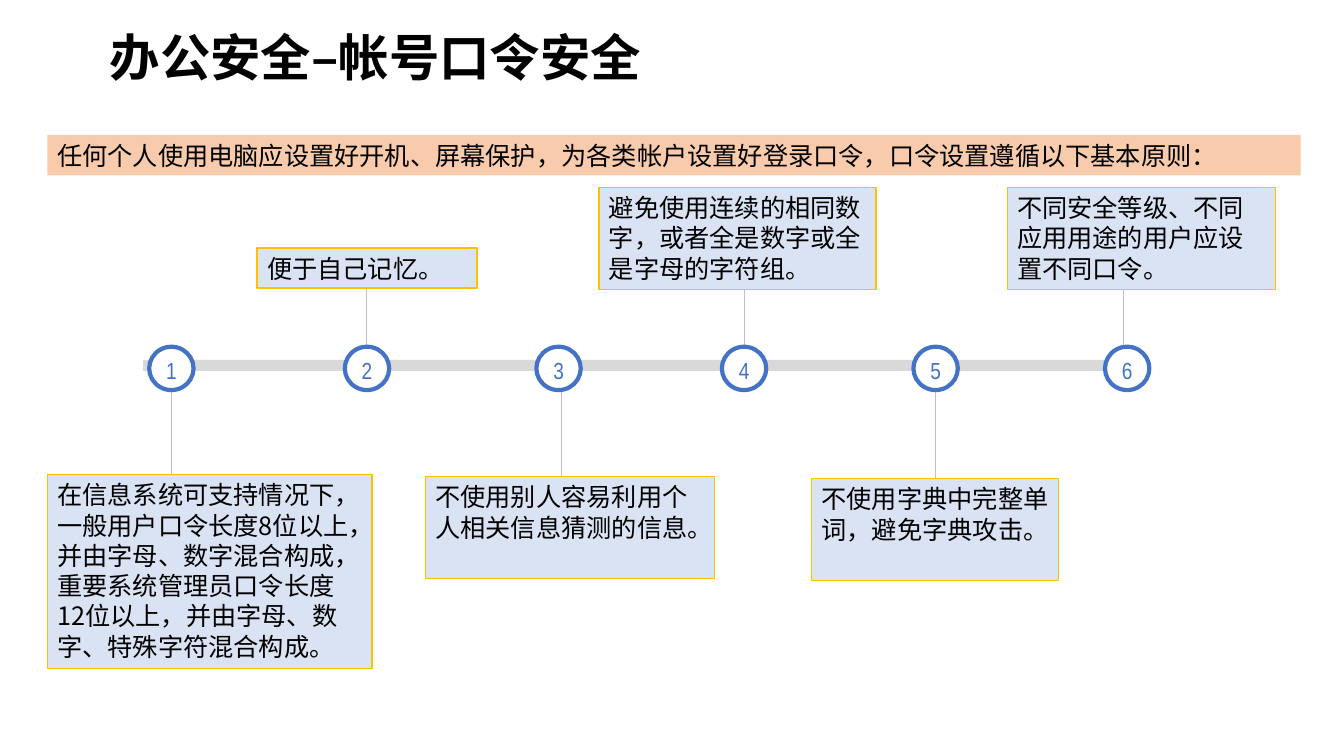
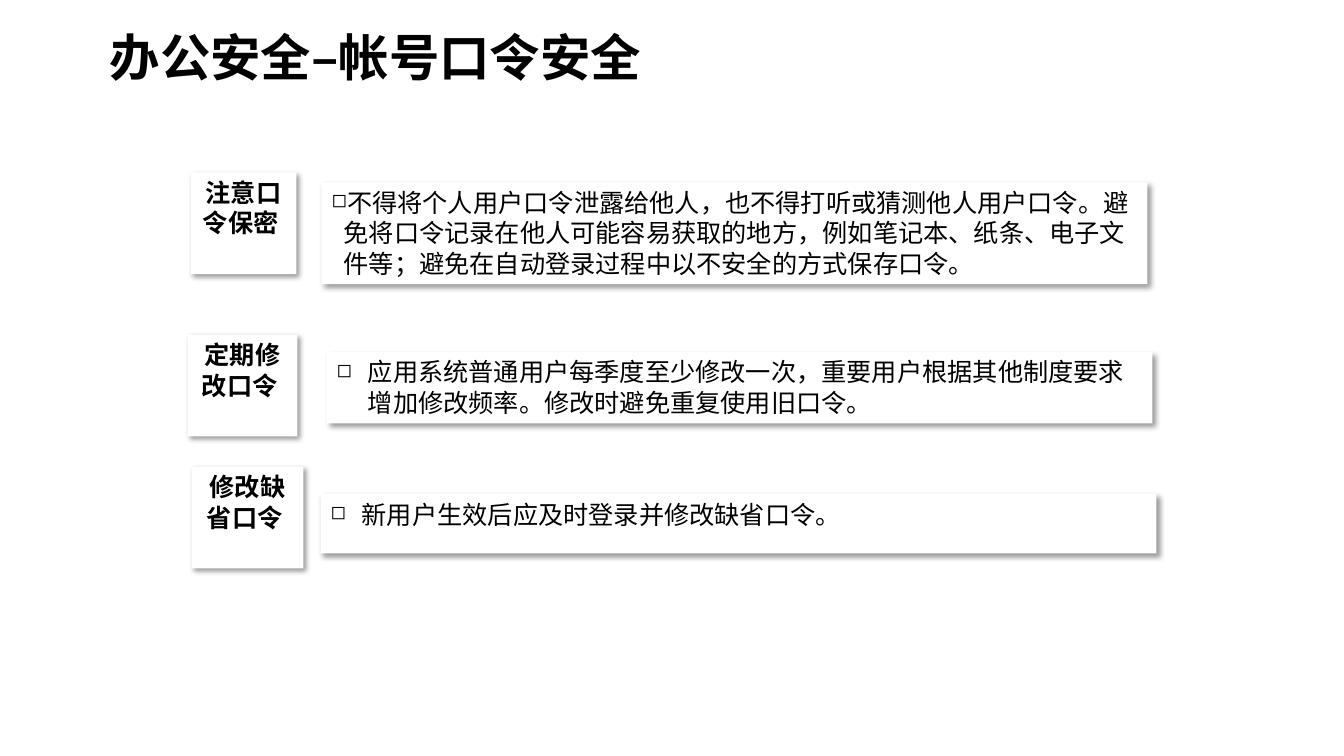
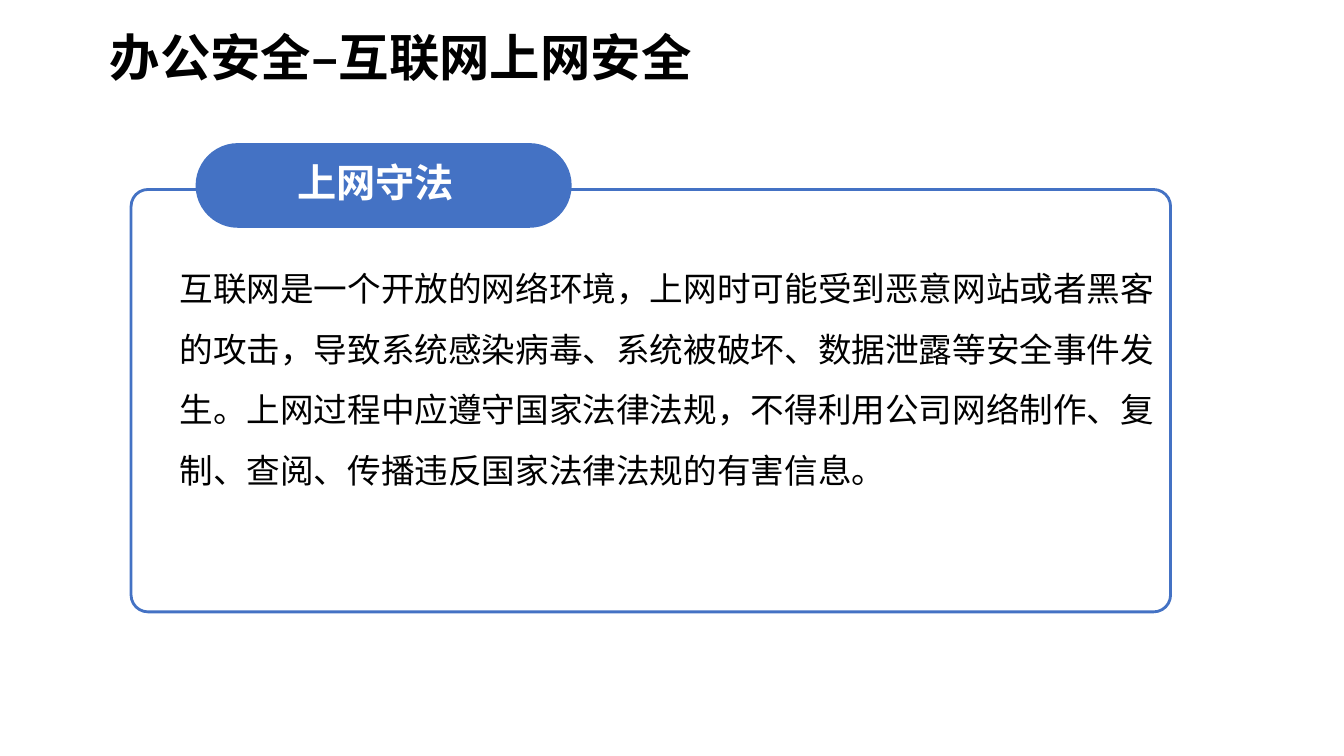
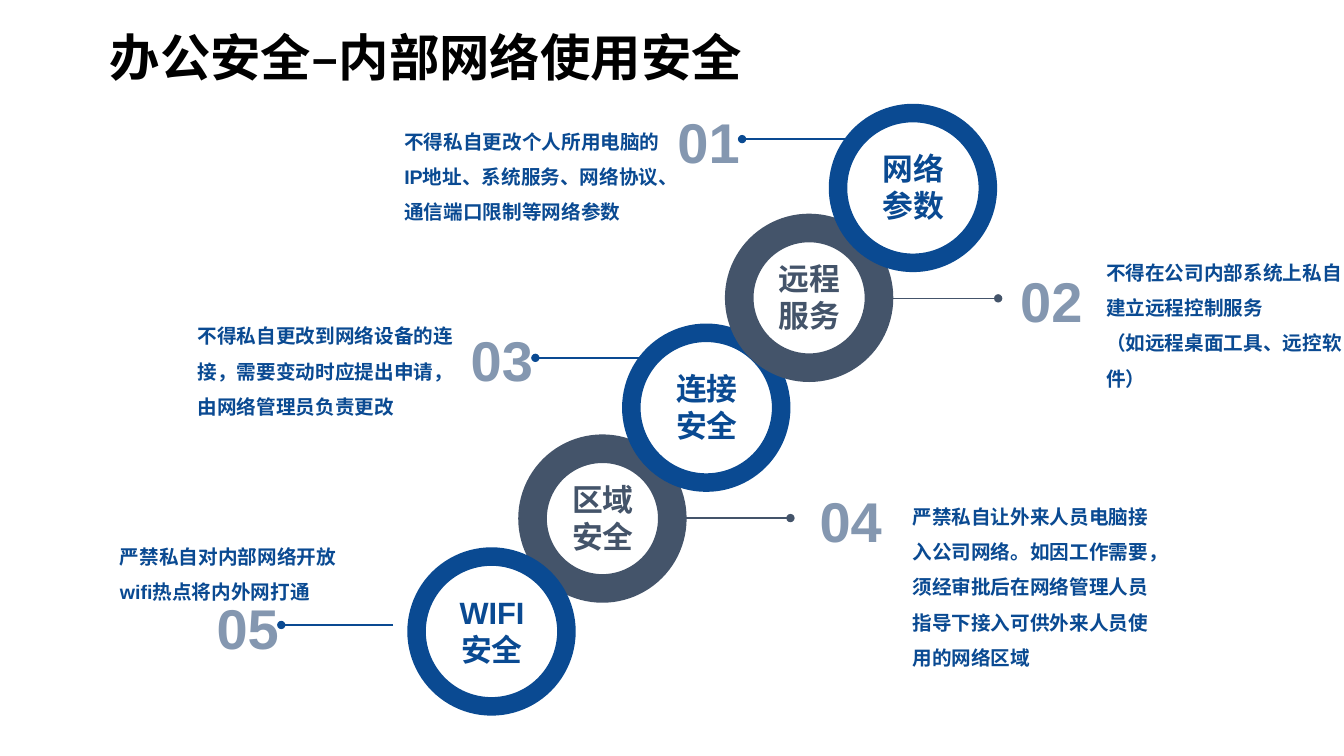
import pptx
import pptx.dml.color
import pptx.enum.lang
import pptx.enum.shapes
import pptx.enum.text
import pptx.oxml.ns
import pptx.util
from lxml import etree

SLIDE_WIDTH = pptx.util.Inches(13.33)
SLIDE_HEIGHT = pptx.util.Inches(7.5)
COLUMN = SLIDE_WIDTH / 133.3
ROW = SLIDE_HEIGHT / 75

COLORS = {
    "black": "000000",
    "white": "FFFFFF",
    "blue": "4472C4",
    "pale_blue": "DAE3F3",
    "gold": "FFC000",
    "peach": "F8CBAD",
    "track": "D9D9D9",
    "stem": "BFBFBF",
    "navy": "0A4A92",
    "slate": "44546A",
    "number": "8497B0",
}
CHINESE = "Noto Sans CJK SC"
DEFAULT_INSETS = (1, 0.5)
NO_INSETS = (0, 0)

SHAPE = pptx.enum.shapes.MSO_SHAPE
LEFT = pptx.enum.text.PP_ALIGN.LEFT
CENTER = pptx.enum.text.PP_ALIGN.CENTER
TOP = pptx.enum.text.MSO_ANCHOR.TOP
MIDDLE = pptx.enum.text.MSO_ANCHOR.MIDDLE
qn = pptx.oxml.ns.qn


def rgb(color):
    return pptx.dml.color.RGBColor.from_string(COLORS[color])


def place(column, row, columns, rows):
    return (round(column * COLUMN), round(row * ROW),
            round(columns * COLUMN), round(rows * ROW))


def write(holder, texts, size, color="black", font=CHINESE, bold=False, align=LEFT,
          anchor=TOP, spacing=1.0, insets=DEFAULT_INSETS, wrap=True, hanging=None):
    frame = holder.text_frame
    frame.word_wrap = wrap
    frame.vertical_anchor = anchor
    frame.margin_left = frame.margin_right = round(insets[0] * COLUMN)
    frame.margin_top = frame.margin_bottom = round(insets[1] * ROW)
    for index, text in enumerate(texts):
        paragraph = frame.add_paragraph() if index else frame.paragraphs[0]
        paragraph.alignment = align
        paragraph.line_spacing = spacing
        if hanging:
            add_bullet(paragraph, hanging)
        run = paragraph.add_run()
        run.text = text
        run.font.size = pptx.util.Pt(size)
        run.font.bold = bold
        run.font.color.rgb = rgb(color)
        run.font.name = font
        run.font.language_id = pptx.enum.lang.MSO_LANGUAGE_ID.SIMPLIFIED_CHINESE
        etree.SubElement(run.font._element, qn("a:ea"), typeface=CHINESE)


def add_bullet(paragraph, hanging):
    indent = round(hanging * COLUMN)
    properties = paragraph._p.get_or_add_pPr()
    properties.set("marL", str(indent))
    properties.set("indent", str(-indent))
    etree.SubElement(properties, qn("a:buSzPct"), val="75000")
    etree.SubElement(properties, qn("a:buChar"), char="◻")


def add_text(slide, area, texts, size, **style):
    write(slide.shapes.add_textbox(*place(*area)), texts, size, **style)


def add_block(slide, kind, area, fill=None, line=None, width=1, adjust=None):
    block = slide.shapes.add_shape(kind, *place(*area))
    block.shadow.inherit = False
    if fill:
        block.fill.solid()
        block.fill.fore_color.rgb = rgb(fill)
    else:
        block.fill.background()
    if line:
        block.line.color.rgb = rgb(line)
        block.line.width = pptx.util.Pt(width)
    else:
        block.line.fill.background()
    if adjust is not None:
        block.adjustments[0] = adjust
    return block


def add_line(slide, start, end, color, width, dot=False):
    line = slide.shapes.add_connector(
        pptx.enum.shapes.MSO_CONNECTOR.STRAIGHT,
        round(start[0] * COLUMN), round(start[1] * ROW),
        round(end[0] * COLUMN), round(end[1] * ROW))
    line.line.color.rgb = rgb(color)
    line.line.width = pptx.util.Pt(width)
    properties = line._element.spPr
    if dot:
        etree.SubElement(properties.find(qn("a:ln")), qn("a:tailEnd"), type="oval")
    etree.SubElement(properties, qn("a:effectLst"))


def add_raised_panel(slide, area):
    panel = add_block(slide, SHAPE.RECTANGLE, area, "white")
    effects = panel._element.spPr.find(qn("a:effectLst"))
    shadow = etree.SubElement(
        effects, qn("a:outerShdw"), blurRad=str(pptx.util.Pt(4)),
        dist=str(pptx.util.Pt(3)), dir=str(45 * 60000), algn="tl", rotWithShape="0")
    tint = etree.SubElement(shadow, qn("a:srgbClr"), val=COLORS["black"])
    etree.SubElement(tint, qn("a:alpha"), val="40000")
    return panel


def add_titled_slide(deck, topic):
    slide = deck.slides.add_slide(deck.slide_layouts[6])
    add_text(slide, (9.9, 2.8, 119.6, 7.9), ["办公安全–" + topic], 36,
             bold=True, spacing=0.9)
    return slide


def add_principle(slide, number, node_column, stem_column, card, text):
    node_row, node_columns, node_rows = 34.4, 4.4, 4.3
    above = card[1] < node_row
    stem_start = card[1] + card[3] if above else node_row + node_rows
    stem_end = node_row if above else card[1]
    add_line(slide, (stem_column, stem_start), (stem_column, stem_end), "stem", 0.5)
    node = add_block(slide, SHAPE.OVAL, (node_column, node_row, node_columns, node_rows),
                     "white", "blue", 3)
    write(node, [str(number)], 16.6, color="blue", font="Arial Narrow", align=CENTER,
          anchor=MIDDLE, spacing=1.1, insets=NO_INSETS)
    write(add_block(slide, SHAPE.RECTANGLE, card, "pale_blue", "gold"), [text], 18)


def build_principles(deck):
    slide = add_titled_slide(deck, "帐号口令安全")
    banner = add_block(slide, SHAPE.RECTANGLE, (4.7, 13.4, 124.3, 4), "peach")
    write(banner, ["任何个人使用电脑应设置好开机、屏幕保护，为各类帐户设置好登录口令，"
                   "口令设置遵循以下基本原则："], 18)
    add_block(slide, SHAPE.PENTAGON, (14.2, 35.7, 98.5, 1.1), "track")
    principles = [
        (14.8, 17, (4.7, 47.1, 32.2, 19.2),
         "在信息系统可支持情况下，一般用户口令长度8位以上，并由字母、数字混合构成，"
         "重要系统管理员口令长度12位以上，并由字母、数字、特殊字符混合构成。"),
        (34.2, 36.3, (25.5, 24.6, 21.8, 4), "便于自己记忆。"),
        (53.2, 55.7, (42.2, 47.3, 28.7, 10.1),
         "不使用别人容易利用个人相关信息猜测的信息。"),
        (71.6, 73.8, (59.4, 18.6, 27.5, 10.1),
         "避免使用连续的相同数字，或者全是数字或全是字母的字符组。"),
        (90.6, 92.8, (80.5, 47.5, 24.5, 10.1),
         "不使用字典中完整单词，避免字典攻击。"),
        (109.6, 111.4, (99.9, 18.6, 26.6, 10.1),
         "不同安全等级、不同应用用途的用户应设置不同口令。"),
    ]
    for number, principle in enumerate(principles, 1):
        add_principle(slide, number, *principle)


def build_rules(deck):
    slide = add_titled_slide(deck, "帐号口令安全")
    rules = [
        ("注意口令保密 ", (18.9, 17.1, 10.5, 10.1), (31.9, 18.1, 81.9, 10.1), 1.2,
         "不得将个人用户口令泄露给他人，也不得打听或猜测他人用户口令。避免将口令记录在"
         "他人可能容易获取的地方，例如笔记本、纸条、电子文件等；避免在自动登录过程中以"
         "不安全的方式保存口令。"),
        ("定期修改口令 ", (18.6, 33.2, 10.9, 10.1), (32.4, 34.9, 81.9, 7.1), 3.1,
         "应用系统普通用户每季度至少修改一次，重要用户根据其他制度要求增加修改频率。"
         "修改时避免重复使用旧口令。"),
        ("修改缺省口令 ", (19, 46.3, 11.1, 10.1), (31.8, 49, 82.9, 5.9), 3.1,
         "新用户生效后应及时登录并修改缺省口令。"),
    ]
    for heading, heading_area, rule_area, hanging, rule in rules:
        write(add_raised_panel(slide, heading_area), [heading], 18,
              bold=True, align=CENTER)
        write(add_raised_panel(slide, rule_area), [rule], 18, hanging=hanging)


def build_lawful_use(deck):
    slide = add_titled_slide(deck, "互联网上网安全")
    add_block(slide, SHAPE.ROUNDED_RECTANGLE, (13, 18.8, 103.1, 41.9),
              line="blue", width=2, adjust=0.04)
    add_text(slide, (17.2, 24.3, 98.9, 36.6),
             ["互联网是一个开放的网络环境，上网时可能受到恶意网站或者黑客的攻击，导致系统感染"
              "病毒、系统被破坏、数据泄露等安全事件发生。上网过程中应遵守国家法律法规，不得利用"
              "公司网络制作、复制、查阅、传播违反国家法律法规的有害信息。"],
             24, spacing=1.5, insets=(0.6, 0.3))
    add_block(slide, SHAPE.ROUNDED_RECTANGLE, (19.4, 14.2, 37.3, 8.4),
              "blue", adjust=0.5)
    add_text(slide, (17.9, 14.6, 38.7, 6.8), ["上网守法"], 28, color="white",
             bold=True, align=CENTER, anchor=MIDDLE)


def add_ring(slide, column, row, label, color):
    add_block(slide, SHAPE.DONUT, (column, row, 16.7, 16.7), color,
              adjust=0.17 if color == "slate" else 0.11)
    add_text(slide, (column + 4.6, row + 4.6, 7.6, 7.4), [label], 22, color=color,
             font="Arial", bold=True, align=CENTER, insets=NO_INSETS)


def add_callout(slide, number, dot, number_at, note_area, notes, color):
    reach = -11.1 if color == "slate" else 11.1
    add_line(slide, (dot[0] + reach, dot[1]), dot, color, 1, dot=True)
    add_text(slide, (*number_at, 8.3, 7.7), [f"{number:02d}"], 40, color="number",
             font="Arial", bold=True, wrap=False)
    add_text(slide, note_area, notes, 14, color="navy", font="Arial", bold=True,
             spacing=1.5, insets=NO_INSETS)


def build_internal_network(deck):
    slide = add_titled_slide(deck, "内部网络使用安全")
    rings = [
        (51.4, 43.1, "区域安全", "slate"),
        (61.7, 32.1, "连接安全", "navy"),
        (71.9, 21.2, "远程服务", "slate"),
        (82.2, 10.3, "网络参数", "navy"),
        (40.4, 54.3, "WIFI安全", "navy"),
    ]
    for ring in rings:
        add_ring(slide, *ring)
    callouts = [
        ((73.6, 13.8), (66.2, 10.2), (40.1, 11.7, 25.9, 10.2),
         ["不得私自更改个人所用电脑的IP地址、系统服务、网络协议、通信端口限制等网络参数"]),
        ((99, 29.6), (100.2, 25.9), (109.7, 24.7, 23.6, 10.2),
         ["不得在公司内部系统上私自建立远程控制服务", "（如远程桌面工具、远控软件）"]),
        ((53.1, 35.5), (45.7, 31.8), (19.6, 31, 25.9, 10.2),
         ["不得私自更改到网络设备的连接，需要变动时应提出申请，由网络管理员负责更改"]),
        ((78.4, 51.4), (80.3, 47.8), (90.5, 48.9, 24.6, 17.3),
         ["严禁私自让外来人员电脑接入公司网络。如因工作需要，须经审批后在网络管理人员"
          "指导下接入可供外来人员使用的网络区域"]),
        ((27.9, 62), (20.5, 58.4), (11.9, 52.9, 24.6, 6.6),
         ["严禁私自对内部网络开放wifi热点将内外网打通"]),
    ]
    for number, callout in enumerate(callouts, 1):
        add_callout(slide, number, *callout, "navy" if number % 2 else "slate")


def main():
    deck = pptx.Presentation()
    deck.slide_width = SLIDE_WIDTH
    deck.slide_height = SLIDE_HEIGHT
    build_principles(deck)
    build_rules(deck)
    build_lawful_use(deck)
    build_internal_network(deck)
    deck.save("out.pptx")


if __name__ == "__main__":
    main()
